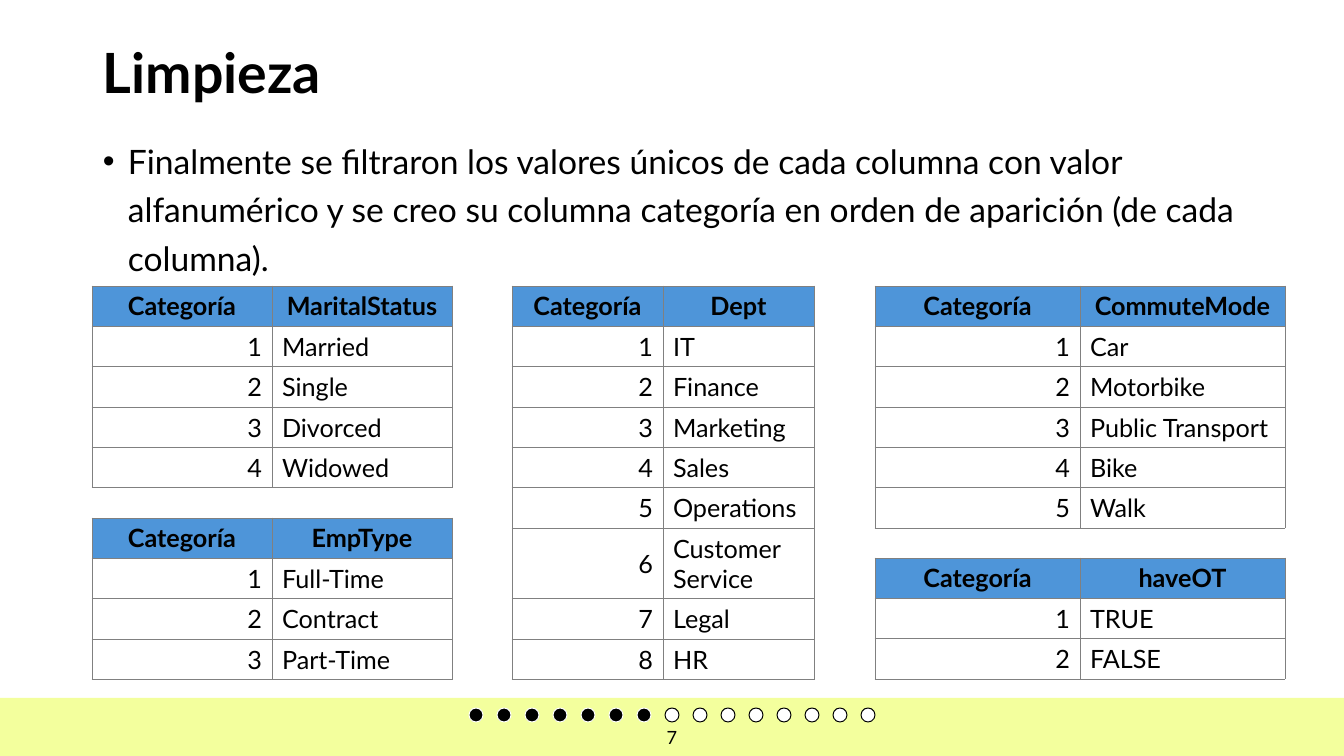
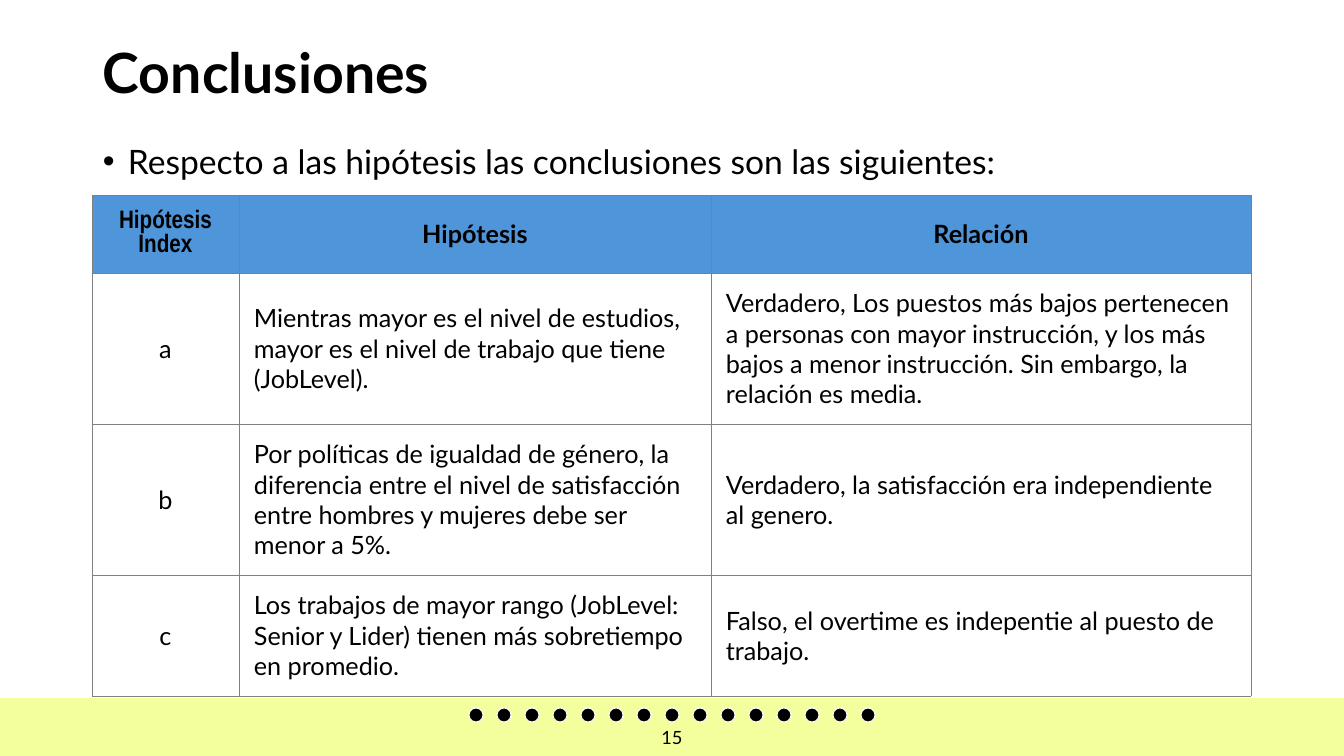
from lxml.etree import SubElement
from pptx import Presentation
from pptx.dml.color import RGBColor
from pptx.enum.shapes import MSO_SHAPE
from pptx.enum.text import MSO_ANCHOR, PP_ALIGN
from pptx.oxml.ns import qn
from pptx.util import Emu, Pt

PAGE_WIDTH, PAGE_HEIGHT = 1344, 756
EMU_PER_PX = 12192000 / PAGE_WIDTH
FONT = "Lato"
COLORS = {
    "black": "000000",
    "white": "FFFFFF",
    "band": "E8FF3C",
    "header": "4E95D9",
    "border": "808080",
}
DOT_COUNT, DOT_SIZE, DOT_STEP = 15, 14, 28
DOT_LEFT, DOT_TOP = 469, 708
CONTENT_LEFT, CONTENT_WIDTH = 93, 1159
TABLE_LEFT = 92
ROW_HEIGHT = 20

CATEGORY_TABLES = [
    (TABLE_LEFT, 286, 180, "MaritalStatus", ["Married", "Single", "Divorced", "Widowed"]),
    (TABLE_LEFT, 518, 180, "EmpType", ["Full-Time", "Contract", "Part-Time"]),
    (512, 286, 151, "Dept", ["IT", "Finance", "Marketing", "Sales", "Operations",
                             "Customer Service", "Legal", "HR"]),
    (875, 286, 205, "CommuteMode", ["Car", "Motorbike", "Public Transport", "Bike", "Walk"]),
    (875, 558, 205, "haveOT", ["TRUE", "FALSE"]),
]
HYPOTHESES = [
    ["Hipótesis Index", "Hipótesis", "Relación"],
    ["a",
     "Mientras mayor es el nivel de estudios, mayor es el nivel de trabajo que tiene (JobLevel).",
     "Verdadero, Los puestos más bajos pertenecen a personas con mayor instrucción, "
     "y los más bajos a menor instrucción. Sin embargo, la relación es media."],
    ["b",
     "Por políticas de igualdad de género, la diferencia entre el nivel de satisfacción "
     "entre hombres y mujeres debe ser menor a 5%.",
     "Verdadero, la satisfacción era independiente al genero."],
    ["c",
     "Los trabajos de mayor rango (JobLevel: Senior y Lider) tienen más sobretiempo en promedio.",
     "Falso, el overtime es indepentie al puesto de trabajo."],
]


def px(length):
    """Turn pixels into EMU."""
    return Emu(round(length * EMU_PER_PX))


def color(name):
    """Return a named colour."""
    return RGBColor.from_string(COLORS[name])


def add_span(para, text, size, bold=False, font=FONT):
    """Add one run of black text."""
    span = para.add_run()
    span.text = text
    span.font.name = font
    span.font.size = Pt(size)
    span.font.bold = bold
    span.font.color.rgb = color("black")


def add_box(page, left, top, width, height, anchor=MSO_ANCHOR.TOP):
    """Add a wrapping text box and return its first paragraph."""
    box = page.shapes.add_textbox(px(left), px(top), px(width), px(height))
    box.text_frame.word_wrap = True
    box.text_frame.vertical_anchor = anchor
    return box.text_frame.paragraphs[0]


def add_plain_shape(page, kind, left, top, width, height, fill):
    """Add a filled shape without shadow or outline."""
    shape = page.shapes.add_shape(kind, px(left), px(top), px(width), px(height))
    shape.shadow.inherit = False
    shape.fill.solid()
    shape.fill.fore_color.rgb = color(fill)
    shape.line.fill.background()
    return shape


def add_band(page):
    """Add the half-transparent footer band."""
    band = add_plain_shape(page, MSO_SHAPE.RECTANGLE, 0, 698, PAGE_WIDTH, 58, "band")
    tint = band.fill._xPr.find(".//" + qn("a:srgbClr"))
    SubElement(tint, qn("a:alpha"), val="50000")


def add_progress(page, done):
    """Add the row of dots, the first ones filled."""
    for index in range(DOT_COUNT):
        fill, outline = ("black", "white") if index < done else ("white", "black")
        dot = add_plain_shape(page, MSO_SHAPE.OVAL, DOT_LEFT + index * DOT_STEP, DOT_TOP,
                              DOT_SIZE, DOT_SIZE, fill)
        dot.line.color.rgb = color(outline)
        dot.line.width = Pt(0.71)


def add_bullet(para):
    """Give a paragraph a bullet with a hanging indent."""
    indent = px(25)
    properties = para._p.get_or_add_pPr()
    properties.set("marL", str(indent))
    properties.set("indent", str(-indent))
    SubElement(properties, qn("a:buFont"), typeface="Arial")
    SubElement(properties, qn("a:buChar"), char="•")


def add_page(deck, title, statement, statement_height, number):
    """Add a page with title, bulleted statement and footer."""
    page = deck.slides.add_slide(deck.slide_layouts[6])
    add_band(page)
    para = add_box(page, CONTENT_LEFT, 41, CONTENT_WIDTH, 69)
    para.line_spacing = 0.9
    add_span(para, title, 39.6, bold=True)
    para = add_box(page, CONTENT_LEFT, 128, CONTENT_WIDTH, statement_height)
    add_bullet(para)
    para.line_spacing = 1.2
    para.space_after = Pt(6)
    add_span(para, statement, 24)
    para = add_box(page, 521, 717, 302, 40, MSO_ANCHOR.MIDDLE)
    para.alignment = PP_ALIGN.CENTER
    add_span(para, str(number), 13)
    add_progress(page, number)
    return page


def add_borders(cell):
    """Draw the four thin borders of a cell."""
    properties = cell._tc.get_or_add_tcPr()
    for side in ("lnL", "lnR", "lnT", "lnB"):
        line = SubElement(properties, qn("a:" + side), w=str(Pt(0.5)))
        fill = SubElement(line, qn("a:solidFill"))
        SubElement(fill, qn("a:srgbClr"), val=COLORS["border"])


def set_margins(cell, horizontal, vertical):
    """Set the inner margins of a cell."""
    cell.margin_left = cell.margin_right = px(horizontal)
    cell.margin_top = cell.margin_bottom = px(vertical)


def fill_cell(cell, text, alignment, header, font):
    """Style one cell and write its text."""
    add_borders(cell)
    cell.fill.solid()
    cell.fill.fore_color.rgb = color("header" if header else "white")
    cell.vertical_anchor = MSO_ANCHOR.MIDDLE
    para = cell.text_frame.paragraphs[0]
    para.alignment = PP_ALIGN.CENTER if header else alignment
    add_span(para, text, 18, bold=header, font=font)


def add_grid(page, left, top, widths, heights, rows, first_alignment,
             margin=None, corner_font=FONT):
    """Add a bordered table with a blue header row."""
    frame = page.shapes.add_table(len(rows), len(widths), px(left), px(top),
                                  px(sum(widths)), px(sum(heights)))
    table = frame.table
    table.first_row = table.horz_banding = False
    for column, width in zip(table.columns, widths):
        column.width = px(width)
    for row_index, (values, height) in enumerate(zip(rows, heights)):
        table.rows[row_index].height = px(height)
        for column_index, text in enumerate(values):
            cell = table.cell(row_index, column_index)
            alignment = PP_ALIGN.LEFT if column_index else first_alignment
            font = FONT if row_index or column_index else corner_font
            fill_cell(cell, text, alignment, row_index == 0, font)
            if margin:
                set_margins(cell, margin, margin if row_index else margin // 2)


def add_category_table(page, left, top, width, name, values):
    """Add a table that numbers the values of one column."""
    rows = [["Categoría", name]]
    rows += [[str(number), value] for number, value in enumerate(values, 1)]
    add_grid(page, left, top, [width] * 2, [ROW_HEIGHT] * len(rows), rows, PP_ALIGN.RIGHT)


def main():
    """Build and save the deck."""
    deck = Presentation()
    deck.slide_width, deck.slide_height = px(PAGE_WIDTH), px(PAGE_HEIGHT)
    cleaning = add_page(
        deck, "Limpieza",
        "Finalmente se filtraron los valores únicos de cada columna con valor alfanumérico "
        "y se creo su columna categoría en orden de aparición (de cada columna).", 179, 7)
    for category in CATEGORY_TABLES:
        add_category_table(cleaning, *category)
    conclusions = add_page(
        deck, "Conclusiones",
        "Respecto a las hipótesis las conclusiones son las siguientes:", 95, 15)
    add_grid(conclusions, TABLE_LEFT, 195, [147, 472, 540], [78, 151, 151, 121],
             HYPOTHESES, PP_ALIGN.CENTER, margin=15, corner_font="Arial Narrow")
    deck.save("out.pptx")


if __name__ == "__main__":
    main()
